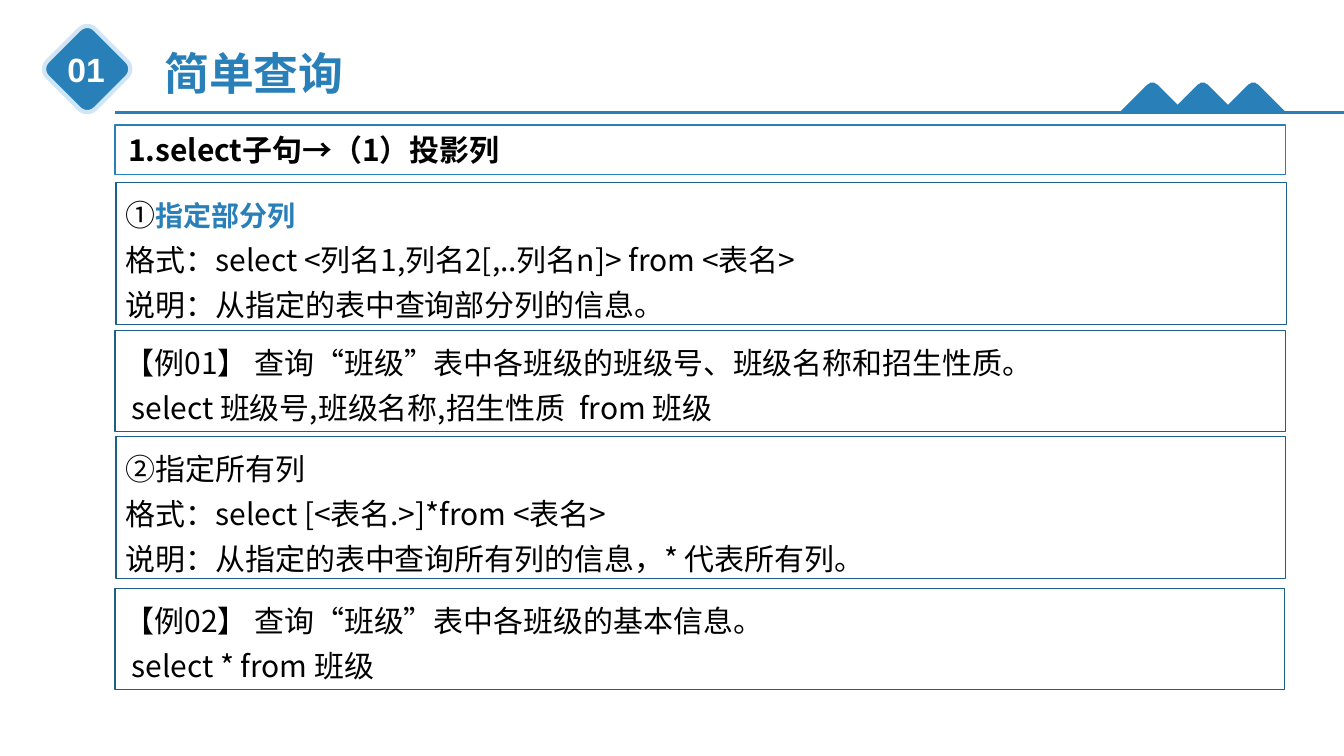
from dataclasses import dataclass

import pptx
import pptx.dml.color
import pptx.enum.shapes
import pptx.enum.text
import pptx.oxml.ns
import pptx.util
from lxml import etree

Inches = pptx.util.Inches
Pt = pptx.util.Pt
Align = pptx.enum.text.PP_ALIGN
Anchor = pptx.enum.text.MSO_ANCHOR
Preset = pptx.enum.shapes.MSO_SHAPE
qn = pptx.oxml.ns.qn

BLUE = "2980B9"
DARK_BLUE = "1E5F89"
PALE_BLUE = "D1E6F5"
WHITE = "FFFFFF"
BLACK = "000000"
CJK = "Noto Sans CJK SC"
LATIN = "Arial"
BODY_SIZE = 21.4


@dataclass(frozen=True)
class Segment:
    text: str
    emphasised: bool = False


@dataclass(frozen=True)
class Panel:
    left: float
    top: float
    width: float
    height: float
    lines: tuple[tuple[Segment, ...], ...]
    heading: bool = False


def plain(*texts: str) -> tuple[tuple[Segment, ...], ...]:
    return tuple((Segment(text),) for text in texts)


PANELS = (
    Panel(1.14, 1.24, 11.61, 0.49, plain("1.select子句→（1）投影列"), True),
    Panel(1.15, 1.81, 11.61, 1.41, (
        (Segment("①"), Segment("指定部分列", True)),
        *plain("格式：select <列名1,列名2[,..列名n]> from <表名>",
               "说明：从指定的表中查询部分列的信息。"))),
    Panel(1.14, 3.28, 11.61, 1, plain(
        "【例01】 查询“班级”表中各班级的班级号、班级名称和招生性质。",
        " select 班级号,班级名称,招生性质  from 班级")),
    Panel(1.15, 4.33, 11.6, 1.41, plain(
        "②指定所有列",
        "格式：select [<表名.>]*from <表名>",
        "说明：从指定的表中查询所有列的信息，* 代表所有列。")),
    Panel(1.14, 5.84, 11.6, 1, plain(
        "【例02】 查询“班级”表中各班级的基本信息。",
        " select * from 班级")),
)

RULE_Y = 1.12
PEAK_START, PEAK_STEP, PEAK_COUNT = 11.43, 0.5, 3
PEAK_HALF = ((0.33, 1.12), (0.06, 0.85), (0.05, 0.84), (0.03, 0.83), (0.02, 0.82))


def paint(colour_format, hex_colour: str) -> None:
    colour_format.rgb = pptx.dml.color.RGBColor.from_string(hex_colour)


def fill_with(shape, hex_colour: str) -> None:
    shape.fill.solid()
    paint(shape.fill.fore_color, hex_colour)


def outline(shape, hex_colour: str, points: float) -> None:
    paint(shape.line.color, hex_colour)
    shape.line.width = Pt(points)


def style_paragraph(paragraph, face: str, size: float, colour: str,
                    bold: bool, align=Align.LEFT) -> None:
    paragraph.alignment = align
    font = paragraph.font
    font.name, font.size, font.bold = face, Pt(size), bold
    paint(font.color, colour)
    if face == CJK:
        defaults = paragraph._p.find(qn("a:pPr")).find(qn("a:defRPr"))
        etree.SubElement(defaults, qn("a:ea")).set("typeface", face)


def write_label(shape, text: str, size: float, colour: str, align=Align.LEFT) -> None:
    frame = shape.text_frame
    frame.text = text
    frame.word_wrap = False
    frame.auto_size = pptx.enum.text.MSO_AUTO_SIZE.NONE
    frame.vertical_anchor = Anchor.TOP
    style_paragraph(frame.paragraphs[0], LATIN, size, colour, True, align)


def draw_panel(slide, panel: Panel) -> None:
    box = slide.shapes.add_shape(
        Preset.RECTANGLE, Inches(panel.left), Inches(panel.top),
        Inches(panel.width), Inches(panel.height))
    box.shadow.inherit = False
    frame = box.text_frame
    frame.word_wrap = True
    if panel.heading:
        fill_with(box, WHITE)
        frame.vertical_anchor = Anchor.MIDDLE
        frame.margin_left = frame.margin_right = Inches(0.13)
        frame.margin_top = frame.margin_bottom = Inches(0.07)
    else:
        box.fill.background()
        frame.vertical_anchor = Anchor.TOP
    outline(box, BLUE if panel.heading else DARK_BLUE, 1)
    for index, line in enumerate(panel.lines):
        paragraph = frame.add_paragraph() if index else frame.paragraphs[0]
        if not panel.heading:
            paragraph.line_spacing = 1.25
        style_paragraph(paragraph, CJK, BODY_SIZE, BLACK, panel.heading)
        for segment in line:
            run = paragraph.add_run()
            run.text = segment.text
            if segment.emphasised:
                run.font.size, run.font.bold = Pt(20), True
                paint(run.font.color, BLUE)


def draw_peak(slide, centre: float) -> None:
    left = [(centre - dx, y) for dx, y in PEAK_HALF]
    right = [(centre + dx, y) for dx, y in reversed(PEAK_HALF)]
    points = [(Inches(x), Inches(y)) for x, y in left + right]
    builder = slide.shapes.build_freeform(*points[0])
    builder.add_line_segments(points[1:], close=True)
    peak = builder.convert_to_shape()
    peak.shadow.inherit = False
    fill_with(peak, BLUE)
    peak.line.fill.background()


def draw_header(slide) -> None:
    title = slide.shapes.title
    title.left, title.top = Inches(1.53), Inches(0.4)
    title.width, title.height = Inches(2.2), Inches(0.64)
    write_label(title, "简单查询", 32, BLUE)
    title.text_frame.margin_right = Inches(0)

    badge = slide.shapes.add_shape(
        Preset.ROUNDED_RECTANGLE, Inches(0.53), Inches(0.35), Inches(0.67), Inches(0.67))
    badge.rotation = 45
    badge.shadow.inherit = False
    fill_with(badge, BLUE)
    outline(badge, PALE_BLUE, 3)
    number = slide.shapes.add_textbox(
        Inches(0.57), Inches(0.44), Inches(0.57), Inches(0.5))
    write_label(number, "01", 24, WHITE, Align.CENTER)

    rule = slide.shapes.add_connector(
        pptx.enum.shapes.MSO_CONNECTOR.STRAIGHT,
        Inches(1.14), Inches(RULE_Y), Inches(13.33), Inches(RULE_Y))
    outline(rule, BLUE, 2.25)
    etree.SubElement(rule._element.spPr, qn("a:effectLst"))
    for index in range(PEAK_COUNT):
        draw_peak(slide, PEAK_START + index * PEAK_STEP)


def main() -> None:
    deck = pptx.Presentation()
    deck.slide_width, deck.slide_height = Inches(13.33), Inches(7.5)
    slide = deck.slides.add_slide(deck.slide_layouts[5])
    draw_header(slide)
    for panel in PANELS:
        draw_panel(slide, panel)
    deck.save("out.pptx")


if __name__ == "__main__":
    main()
